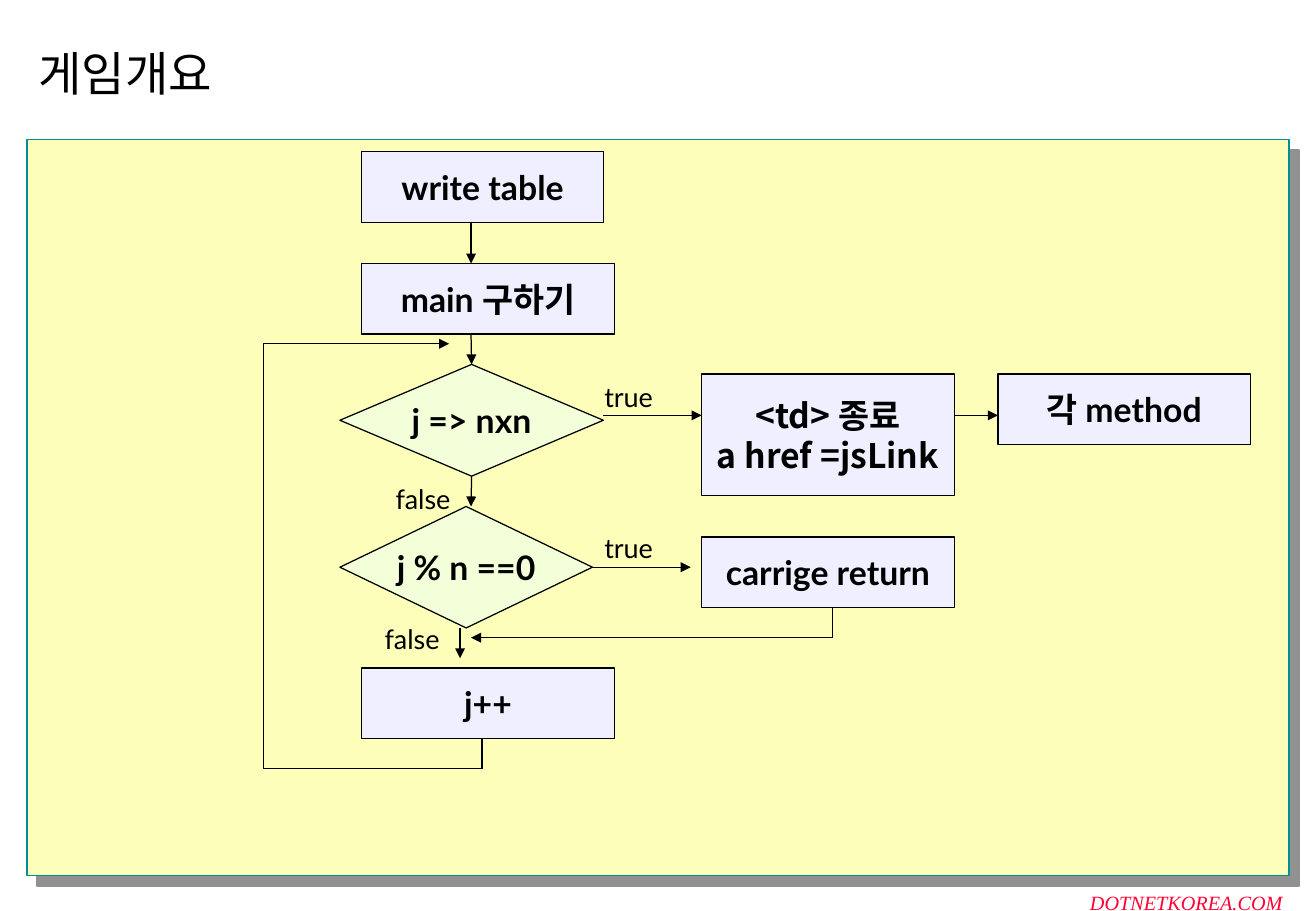
from dataclasses import dataclass
from itertools import pairwise

from lxml.etree import SubElement
from pptx import Presentation
from pptx.dml.color import RGBColor
from pptx.enum.shapes import MSO_CONNECTOR, MSO_SHAPE
from pptx.enum.text import MSO_ANCHOR, PP_ALIGN
from pptx.oxml.ns import qn
from pptx.util import Inches, Pt


@dataclass(frozen=True)
class Theme:
    panel: str = "FCFEB9"
    panel_line: str = "009094"
    shadow: str = "919191"
    process: str = "EFEFFF"
    decision: str = "F2FFD9"
    ink: str = "000000"
    footer: str = "FF0033"
    font: str = "Lato"
    title_font: str = "Arial"
    footer_font: str = "Times New Roman"
    korean_font: str = "Noto Sans CJK KR"
    title_size: int = 28
    step_size: int = 20
    label_size: int = 16
    footer_size: int = 12


theme = Theme()


def add_text(s, text, size, font=theme.font, color=theme.ink, bold=False, italic=False,
             align=PP_ALIGN.LEFT, anchor=MSO_ANCHOR.TOP, wrap=True, spacing=None):
    tf = s.text_frame
    tf.word_wrap = wrap
    tf.vertical_anchor = anchor
    for i, line in enumerate(text.split("\n")):
        p = tf.paragraphs[0] if i == 0 else tf.add_paragraph()
        p.alignment = align
        if spacing:
            p.line_spacing = spacing
        r = p.add_run()
        r.text = line
        r.font.size = Pt(size)
        r.font.name = font
        r.font.bold = bold
        r.font.italic = italic
        r.font.color.rgb = RGBColor.from_string(color)
        SubElement(r.font._element, qn("a:ea"), typeface=theme.korean_font)


def add_box(kind, left, top, width, height, fill, line, weight):
    s = slide.shapes.add_shape(kind, Inches(left), Inches(top), Inches(width), Inches(height))
    s.shadow.inherit = False
    s.fill.solid()
    s.fill.fore_color.rgb = RGBColor.from_string(fill)
    s.line.color.rgb = RGBColor.from_string(line)
    s.line.width = Pt(weight)
    return s


prs = Presentation()
prs.slide_width = Inches(10.84)
prs.slide_height = Inches(7.5)
slide = prs.slides.add_slide(prs.slide_layouts[6])

# Panel with an offset shadow
panel = add_box(MSO_SHAPE.RECTANGLE, 0.22, 1.15, 10.4, 6.06, theme.panel, theme.panel_line, 1)
effects = panel._element.spPr.find(qn("a:effectLst"))
shadow = SubElement(effects, qn("a:outerShdw"), dist=str(Pt(8.5)), dir=str(45 * 60000),
                    algn="ctr", rotWithShape="0")
SubElement(shadow, qn("a:srgbClr"), val=theme.shadow)

# Title and footer
title = slide.shapes.add_textbox(Inches(0.22), Inches(0.17), Inches(10.4), Inches(0.92))
add_text(title, "게임개요", theme.title_size, font=theme.title_font,
         anchor=MSO_ANCHOR.MIDDLE, spacing=0.9)
footer = slide.shapes.add_textbox(Inches(8.88), Inches(7.14), Inches(1.89), Inches(0.44))
add_text(footer, "DOTNETKOREA.COM", theme.footer_size, font=theme.footer_font,
         color=theme.footer, italic=True, spacing=1.7)

# Flowchart steps
PROCESS, DECISION = MSO_SHAPE.FLOWCHART_PROCESS, MSO_SHAPE.FLOWCHART_DECISION
fills = {PROCESS: theme.process, DECISION: theme.decision}
steps = {}
for text, kind, left, top, width, height, font in [
    ("write table", PROCESS, 2.98, 1.25, 1.99, 0.58, theme.font),
    ("main 구하기", PROCESS, 2.98, 2.17, 2.08, 0.58, theme.font),
    ("j => nxn", DECISION, 2.8, 3, 2.17, 0.92, theme.font),
    ("j % n ==0", DECISION, 2.8, 4.17, 2.08, 1, theme.font),
    ("j++", PROCESS, 2.98, 5.5, 2.08, 0.58, theme.font),
    ("<td> 종료\na href =jsLink", PROCESS, 5.78, 3.08, 2.08, 1, theme.korean_font),
    ("carrige return", PROCESS, 5.78, 4.42, 2.08, 0.58, theme.font),
    ("각 method", PROCESS, 8.22, 3.08, 2.08, 0.58, theme.font),
]:
    s = add_box(kind, left, top, width, height, fills[kind], theme.ink, 0.75)
    add_text(s, text, theme.step_size, font=font, bold=True, align=PP_ALIGN.CENTER,
             anchor=MSO_ANCHOR.MIDDLE, wrap=False)
    steps[text] = s

# Branch labels
for text, left, top in [("true", 4.88, 3.08), ("false", 3.16, 3.92),
                        ("true", 4.88, 4.33), ("false", 3.07, 5.08)]:
    s = slide.shapes.add_textbox(Inches(left), Inches(top), Inches(1.26), Inches(0.37))
    add_text(s, text, theme.label_size)

# Flow routes: each ends in an arrowhead; joins are (step, side)
size_check, row_check = steps["j => nxn"], steps["j % n ==0"]
for points, start, end in [
    ([(3.88, 1.83), (3.88, 2.17)], None, None),
    ([(3.88, 2.75), (3.88, 3)], None, (size_check, 0)),
    ([(3.88, 3.92), (3.88, 4.17)], (size_check, 2), None),
    ([(3.79, 5.17), (3.79, 5.42)], None, None),
    ([(4.97, 3.42), (5.78, 3.42)], None, None),
    ([(7.86, 3.42), (8.22, 3.42)], None, None),
    ([(4.88, 4.67), (5.69, 4.67)], (row_check, 3), None),
    ([(6.86, 5), (6.86, 5.25), (3.88, 5.25)], None, None),
    ([(3.97, 6.08), (3.97, 6.33), (2.17, 6.33), (2.17, 2.83), (3.7, 2.83)], None, None),
]:
    for (x1, y1), (x2, y2) in pairwise(points):
        c = slide.shapes.add_connector(MSO_CONNECTOR.STRAIGHT, Inches(x1), Inches(y1),
                                       Inches(x2), Inches(y2))
        c.line.color.rgb = RGBColor.from_string(theme.ink)
        c.line.width = Pt(0.75)
        SubElement(c._element.spPr, qn("a:effectLst"))
        if start:
            c.begin_connect(*start)
        if end:
            c.end_connect(*end)
    SubElement(c.line._get_or_add_ln(), qn("a:tailEnd"), type="triangle")

prs.save("out.pptx")
